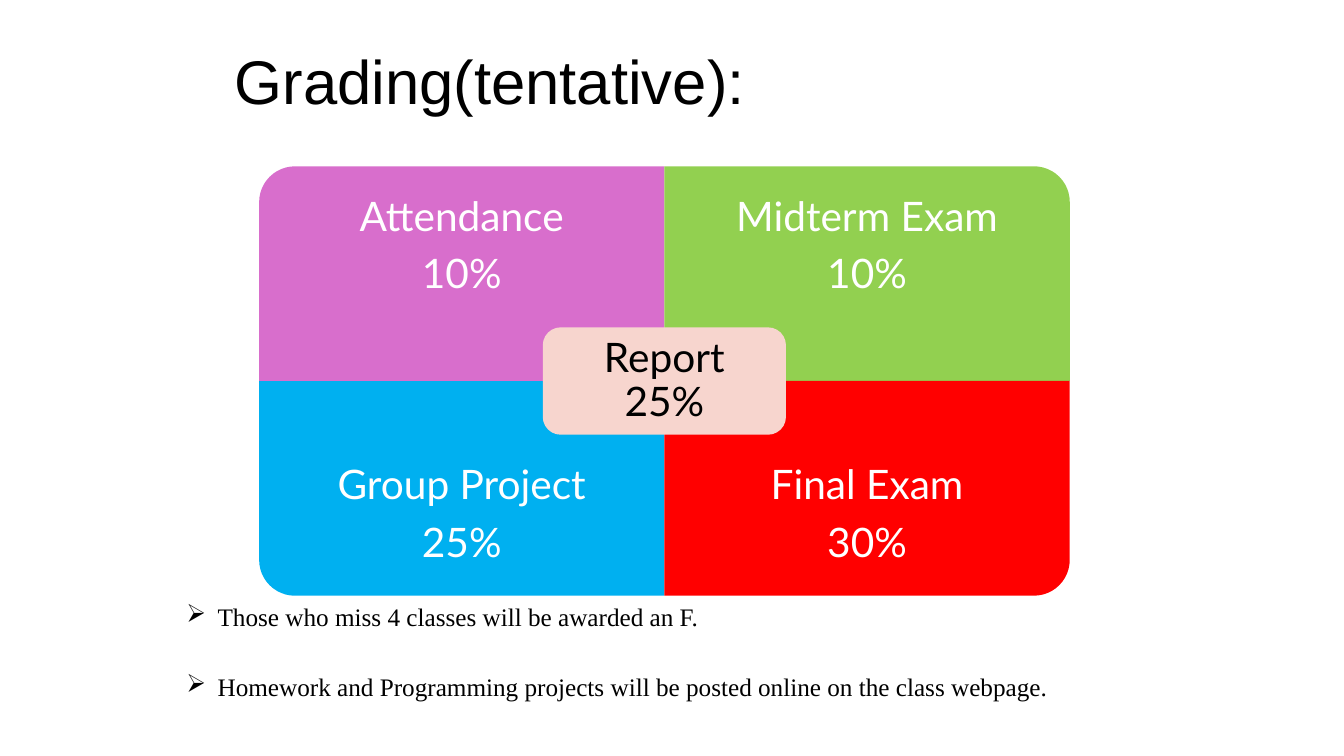
from lxml import etree
from pptx import Presentation, util as u
from pptx.dml.color import RGBColor
from pptx.enum import shapes, text
from pptx.oxml import ns

deck = Presentation()
deck.slide_width, deck.slide_height = u.Inches(13.33), u.Inches(7.5)
slide = deck.slides.add_slide(deck.slide_layouts[6])


def block(preset, left, top, width, height, color):
    """Add a flat, filled shape without outline."""
    piece = slide.shapes.add_shape(preset, *map(u.Inches, (left, top, width, height)))
    piece.shadow.inherit = False
    piece.fill.solid()
    piece.fill.fore_color.rgb = RGBColor.from_string(color)
    piece.line.fill.background()
    return piece


def write(lines, left, top, width, height, font, size, color="000000", inset=None):
    """Add a text box; an inset makes it a centred label."""
    box = slide.shapes.add_textbox(*map(u.Inches, (left, top, width, height)))
    frame = box.text_frame
    frame.word_wrap = True
    frame.text = lines
    if inset is not None:
        frame.vertical_anchor = text.MSO_ANCHOR.MIDDLE
        frame.margin_left = frame.margin_right = u.Inches(inset)
        frame.margin_top = frame.margin_bottom = u.Inches(inset)
    for paragraph in frame.paragraphs:
        if inset is not None:
            paragraph.alignment = text.PP_ALIGN.CENTER
            paragraph.line_spacing = 0.9
            paragraph.space_after = u.Pt(10)
        for run in paragraph.runs:
            run.font.name, run.font.size = font, u.Pt(size)
            run.font.color.rgb = RGBColor.from_string(color)
    return frame


# Matrix: four tiles meeting at one centre, each with its outer corner rounded
TILE_W, TILE_H = 4.02, 2.13
MID_X, MID_Y = 6.59, 3.78
LABEL_H = 0.75 * TILE_H
tiles = [  # label, column, row, colour, rotation
    ("Attendance\n10%", 0, 0, "D86ECC", 270),
    ("Midterm Exam\n10%", 1, 0, "92D050", 0),
    ("Group Project\n25%", 0, 1, "00B0F0", 180),
    ("Final Exam\n30%", 1, 1, "FF0000", 90),
]
for label, column, row, color, rotation in tiles:
    left = MID_X + (column - 1) * TILE_W
    top = MID_Y + (row - 1) * TILE_H
    # A quarter turn swaps width and height around the tile's centre
    width, height = (TILE_H, TILE_W) if rotation % 180 else (TILE_W, TILE_H)
    tile = block(shapes.MSO_SHAPE.ROUND_1_RECTANGLE, left + (TILE_W - width) / 2,
                 top + (TILE_H - height) / 2, width, height, color)
    tile.rotation = rotation
    write(label, left, top + row * (TILE_H - LABEL_H), TILE_W, LABEL_H,
          "Lato", 29, "FFFFFF", inset=0.23)

# Report card over the centre
card_w, card_h = 0.6 * TILE_W, 0.5 * TILE_H
card = (MID_X - card_w / 2, MID_Y - card_h / 2, card_w, card_h)
block(shapes.MSO_SHAPE.ROUNDED_RECTANGLE, *card, "F7D5CE")
write("Report 25%", *card, "Lato", 29, inset=0.18)

# Title
write("Grading(tentative):", 2.23, 0.38, 7.12, 0.84, "Arial", 44)

# Notes with arrow bullets
notes = [
    ("Those who miss 4 classes will be awarded an F.", 5.92, 6.67),
    ("Homework and Programming projects will be posted online on the class webpage.",
     6.61, 10.51),
]
for note, top, width in notes:
    frame = write(note, 1.75, top, width, 0.4, "Times New Roman", 18)
    properties = frame.paragraphs[0]._p.get_or_add_pPr()
    indent = u.Inches(0.31)
    properties.set("marL", str(indent))
    properties.set("indent", str(-indent))
    etree.SubElement(properties, ns.qn("a:buChar")).set("char", "➢")

deck.save("out.pptx")
